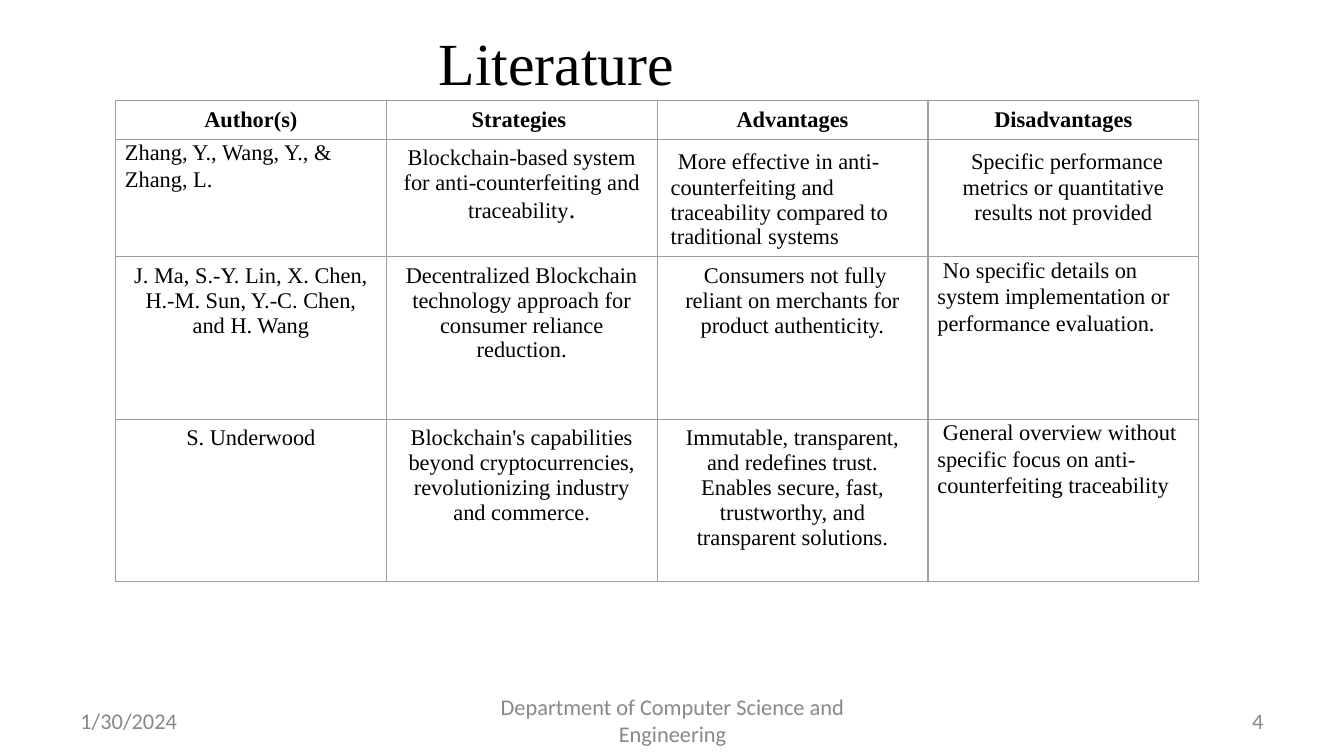
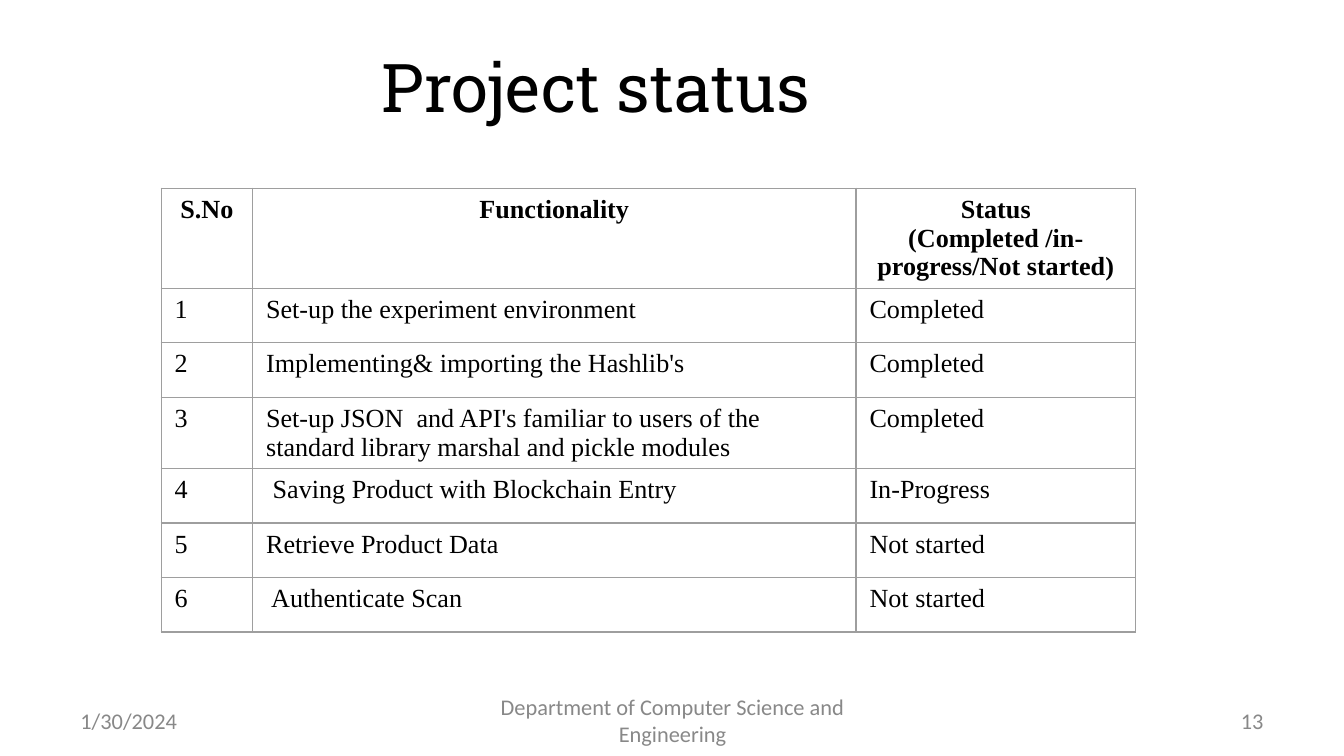
"""Build the literature and project status slides."""
from lxml import etree
from pptx import Presentation
from pptx.dml.color import RGBColor
from pptx.enum.text import MSO_ANCHOR, MSO_AUTO_SIZE, PP_ALIGN
from pptx.oxml.ns import qn
from pptx.util import Inches, Pt

LEFT, CENTER, RIGHT = PP_ALIGN.LEFT, PP_ALIGN.CENTER, PP_ALIGN.RIGHT
MIDDLE = MSO_ANCHOR.MIDDLE
NO_FIT = MSO_AUTO_SIZE.NONE
TITLE_ONLY = 5

COLORS = {"text": "000000", "footer": "888888", "border": "9E9E9E"}
SERIF, SLAB, SANS, SPACER = "Times New Roman", "Roboto Slab", "Calibri", "Arial"
SLIDE_WIDTH = 10
SLIDE_HEIGHT = SLIDE_WIDTH * 9 / 16
TITLE_WIDTH, TITLE_HEIGHT = 6.69, 0.69
FOOTER_TOP, FOOTER_HEIGHT, FOOTER_SIZE = 5.21, 0.3, 12
BORDER_WIDTH = Pt(0.75)
DATE = "1/30/2024"
DEPARTMENT = "Department of Computer Science and Engineering"

LITERATURE = [
    ["Author(s)", "Strategies ", "Advantages", "Disadvantages"],
    ["Zhang, Y., Wang, Y., & Zhang, L.",
     [("Blockchain-based system for anti-counterfeiting and traceability", 12, SERIF),
      (".", 14, SERIF)],
     [(" ", 14, SPACER),
      ("More effective in anti-counterfeiting and traceability compared to "
       "traditional systems", 12, SERIF)],
     [(" ", 14, SPACER),
      ("Specific performance metrics or quantitative results not provided", 12, SERIF)]],
    ["J. Ma, S.-Y. Lin, X. Chen, H.-M. Sun, Y.-C. Chen, and H. Wang",
     "Decentralized Blockchain technology approach for consumer reliance reduction.",
     " Consumers not fully reliant on merchants for product authenticity.",
     " No specific details on system implementation or performance evaluation."],
    ["S. Underwood",
     "Blockchain's capabilities beyond cryptocurrencies, revolutionizing industry "
     "and commerce.",
     "Immutable, transparent, and redefines trust. Enables secure, fast, trustworthy, "
     "and transparent solutions.",
     " General overview without specific focus on anti-counterfeiting traceability"],
]
STATUS = [
    ["S.No", "Functionality", "Status\n(Completed /in-progress/Not started)"],
    ["1", "Set-up the experiment environment", "Completed"],
    ["2", "Implementing& importing the Hashlib's", "Completed"],
    ["3", "Set-up JSON  and API's familiar to users of the standard library marshal "
          "and pickle modules", "Completed"],
    ["4", " Saving Product with Blockchain Entry", "In-Progress"],
    ["5", "Retrieve Product Data", "Not started"],
    ["6", " Authenticate Scan", "Not started"],
]
SLIDES = [
    {"number": "4", "title": [("Literature", 32, SERIF), (" ", 36, SERIF)],
     "title_at": (0.86, 0.09), "cells": LITERATURE, "table_at": (0.86, 0.75),
     "columns": [8.06 / 4] * 4, "rows": [0.25, 0.79, 1.21, 1.21], "size": 12,
     "body_align": CENTER, "left_cells": {(1, 2)},
     "compact_cells": {(1, 0), (2, 3), (3, 3)}},
    {"number": "13", "title": [("Project status", 36, SLAB)],
     "title_at": (1.09, 0.29), "cells": STATUS, "table_at": (1.2, 1.4),
     "columns": [0.68, 4.49, 2.08], "rows": [2.84 / 7] * 7, "size": 14,
     "body_align": LEFT, "left_cells": set(), "compact_cells": set()},
]


def rgb(name):
    return RGBColor.from_string(COLORS[name])


def set_font(font, size, name, color="text", bold=False):
    font.size, font.name, font.bold = Pt(size), name, bold
    font.color.rgb = rgb(color)


def add_runs(paragraph, runs):
    for text, size, name in runs:
        run = paragraph.add_run()
        run.text = text
        set_font(run.font, size, name)


def add_title(slide, runs, position):
    title = slide.shapes.title
    title.left, title.top = map(Inches, position)
    title.width, title.height = Inches(TITLE_WIDTH), Inches(TITLE_HEIGHT)
    frame = title.text_frame
    frame.auto_size, frame.vertical_anchor = NO_FIT, MIDDLE
    paragraph = frame.paragraphs[0]
    paragraph.alignment = CENTER
    add_runs(paragraph, runs)


def add_footer(slide, number):
    parts = [(0.5, 2.33, DATE, LEFT), (3.42, 3.17, DEPARTMENT, CENTER),
             (7.17, 2.33, number, RIGHT)]
    for left, width, text, alignment in parts:
        box = slide.shapes.add_textbox(Inches(left), Inches(FOOTER_TOP),
                                       Inches(width), Inches(FOOTER_HEIGHT))
        frame = box.text_frame
        frame.word_wrap, frame.vertical_anchor = True, MIDDLE
        frame.text = text
        paragraph = frame.paragraphs[0]
        paragraph.alignment = alignment
        set_font(paragraph.font, FOOTER_SIZE, SANS, "footer")


def draw_borders(cell):
    properties = cell._tc.get_or_add_tcPr()
    for side in ("a:lnL", "a:lnR", "a:lnT", "a:lnB"):
        line = etree.SubElement(properties, qn(side), w=str(BORDER_WIDTH))
        fill = etree.SubElement(line, qn("a:solidFill"))
        etree.SubElement(fill, qn("a:srgbClr"), val=COLORS["border"])


def fill_cell(cell, content, size, alignment, header, compact):
    draw_borders(cell)
    cell.fill.background()
    margin_x, margin_y = (0.07, 0) if compact else (0.1, 0.05)
    cell.margin_left = cell.margin_right = Inches(margin_x)
    cell.margin_top = cell.margin_bottom = Inches(margin_y)
    frame = cell.text_frame
    if isinstance(content, str):
        frame.text = content
    else:
        add_runs(frame.paragraphs[0], content)
    for paragraph in frame.paragraphs:
        paragraph.alignment = alignment
        set_font(paragraph.font, size, SERIF, bold=header)
        if compact:
            paragraph.line_spacing, paragraph.space_after = 1.07, Pt(8)


def add_grid(slide, data):
    columns, rows = data["columns"], data["rows"]
    left, top = data["table_at"]
    table = slide.shapes.add_table(
        len(rows), len(columns), Inches(left), Inches(top),
        Inches(sum(columns)), Inches(sum(rows))).table
    table.first_row = table.horz_banding = False
    for column, width in zip(table.columns, columns):
        column.width = Inches(width)
    for row, height in zip(table.rows, rows):
        row.height = Inches(height)
    left_cells = data["left_cells"] | data["compact_cells"]
    for row, contents in enumerate(data["cells"]):
        for column, content in enumerate(contents):
            place = (row, column)
            alignment = CENTER if row == 0 else data["body_align"]
            if place in left_cells:
                alignment = LEFT
            fill_cell(table.cell(row, column), content, data["size"], alignment,
                      row == 0, place in data["compact_cells"])


def main():
    presentation = Presentation()
    presentation.slide_width = Inches(SLIDE_WIDTH)
    presentation.slide_height = Inches(SLIDE_HEIGHT)
    for data in SLIDES:
        slide = presentation.slides.add_slide(presentation.slide_layouts[TITLE_ONLY])
        add_title(slide, data["title"], data["title_at"])
        add_grid(slide, data)
        add_footer(slide, data["number"])
    presentation.save("out.pptx")


if __name__ == "__main__":
    main()
